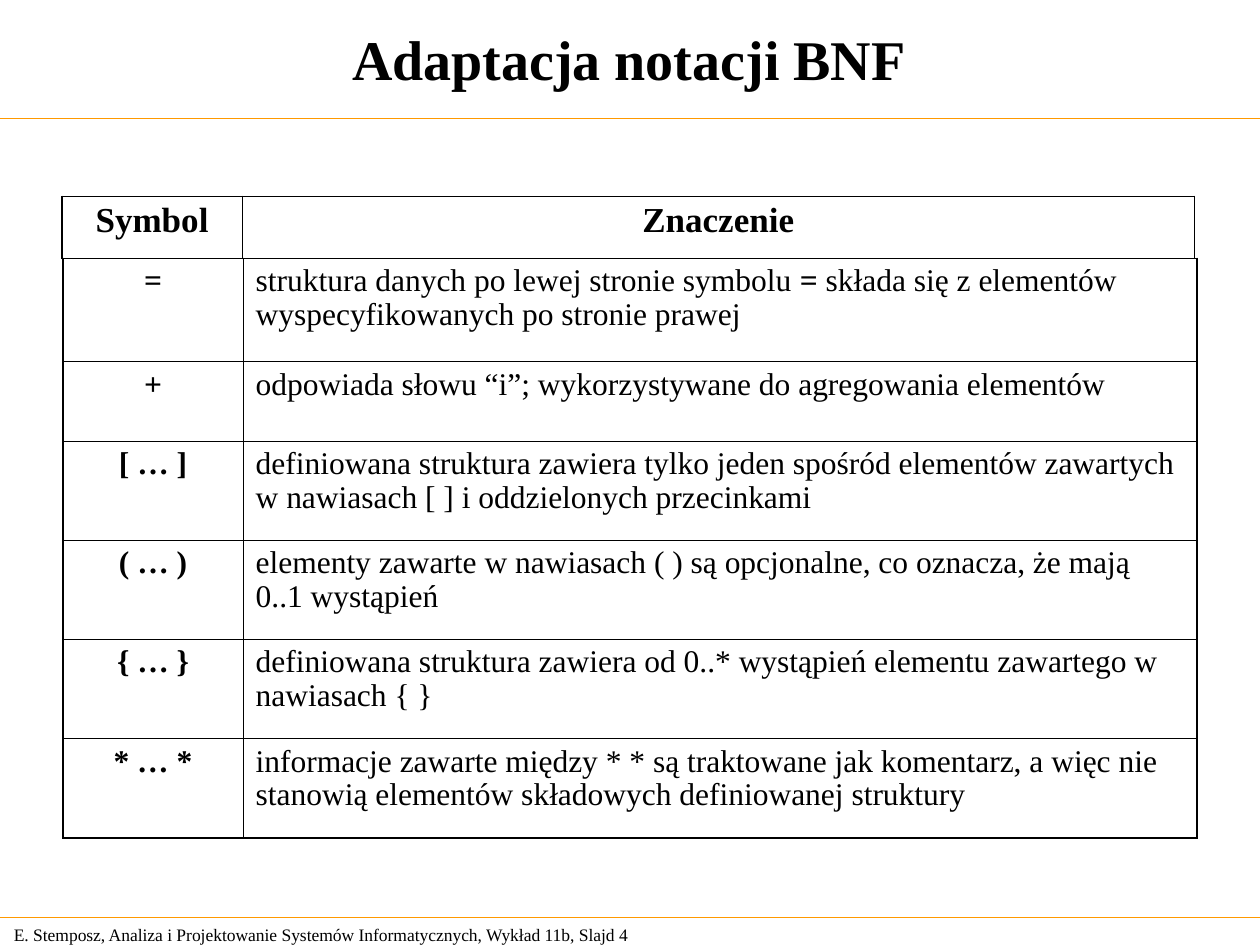
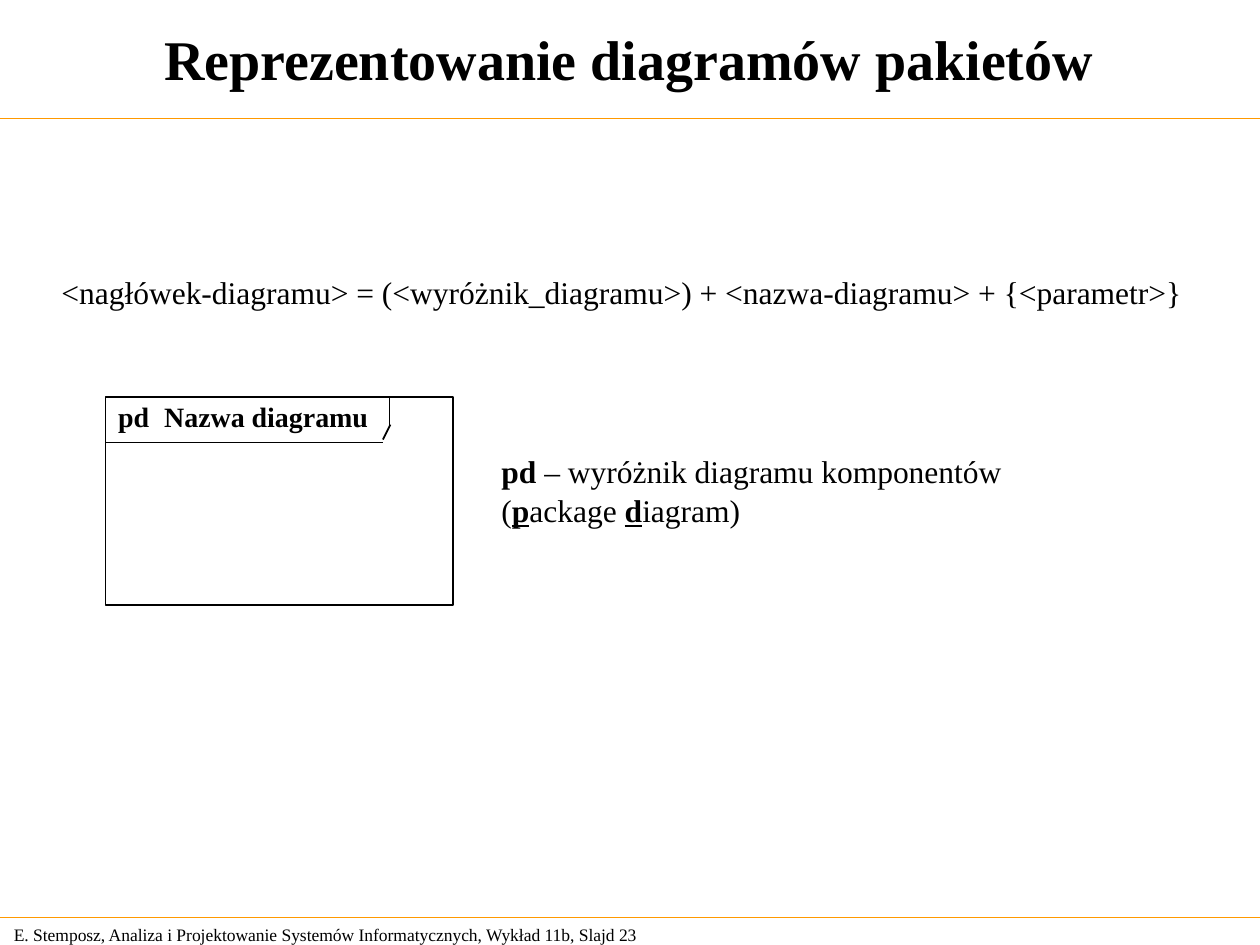
import lxml.etree
import pptx
import pptx.dml.color
import pptx.enum.shapes
import pptx.enum.text
import pptx.oxml.ns
import pptx.util

Cm, Pt = pptx.util.Cm, pptx.util.Pt
ALIGN, ANCHOR = pptx.enum.text.PP_ALIGN, pptx.enum.text.MSO_ANCHOR
qn = pptx.oxml.ns.qn
COLORS = {"text": "000000", "rule": "FF9900", "border": "000000"}
FONT = "Times New Roman"
WIDTH, HEIGHT = 25.4, 19.05
THICK, THIN = 1.08, 0.45
BOLD, UNDERLINED = {"bold": True}, {"bold": True, "underline": True}


def write(frame, spans, size, align=ALIGN.LEFT, spacing=None, tab=None):
    """Fill a text frame with one paragraph of (text, font format) spans."""
    frame.word_wrap = True
    para = frame.paragraphs[0]
    if tab:
        stops = lxml.etree.SubElement(para._p.get_or_add_pPr(), qn("a:tabLst"))
        lxml.etree.SubElement(stops, qn("a:tab"), pos=str(Cm(tab)), algn="l")
    para.alignment = align
    para.line_spacing = spacing
    for text, changes in spans:
        span = para.add_run()
        span.text = text
        for name, value in {"name": FONT, "size": Pt(size), **changes}.items():
            setattr(span.font, name, value)
        span.font.color.rgb = pptx.dml.color.RGBColor.from_string(COLORS["text"])


def draw_line(shapes, x1, y1, x2, y2, color, width):
    line = shapes.add_connector(pptx.enum.shapes.MSO_CONNECTOR.STRAIGHT,
                                Cm(x1), Cm(y1), Cm(x2), Cm(y2))
    line.line.color.rgb = pptx.dml.color.RGBColor.from_string(COLORS[color])
    line.line.width = Pt(width)
    lxml.etree.SubElement(line._element.spPr, qn("a:effectLst"))


deck = pptx.Presentation()
deck.slide_width, deck.slide_height = Cm(WIDTH), Cm(HEIGHT)

# Title, rules and footer of every page
pages = []
for title, number in (("Adaptacja notacji BNF", 4),
                      ("Reprezentowanie diagramów pakietów", 23)):
    page = deck.slides.add_slide(deck.slide_layouts[6])
    pages.append(page)
    for y in (2.39, 18.49):
        draw_line(page.shapes, 0, y, WIDTH, y, "rule", 0.75)
    box = page.shapes.add_textbox(0, 0, Cm(25.37), Cm(2.34))
    box.text_frame.vertical_anchor = ANCHOR.MIDDLE
    write(box.text_frame, [(title, BOLD)], 32, ALIGN.CENTER)
    footer = page.shapes.add_textbox(Cm(0.03), Cm(18.61), Cm(13.31), Cm(0.44))
    footer.text_frame.margin_top = footer.text_frame.margin_bottom = 0
    footer.text_frame.vertical_anchor = ANCHOR.MIDDLE
    write(footer.text_frame, [(
        "E. Stemposz, Analiza i Projektowanie Systemów Informatycznych, "
        f"Wykład 11b, Slajd {number}", {})], 10)
notation_page, package_page = pages

# Notation symbols: a header table on top of the body table
header = [([("Symbol", BOLD)], [("Znaczenie", BOLD)])]
body = [([(symbol, BOLD)], meaning) for symbol, meaning in (
    ("=", [("struktura danych po lewej stronie symbolu ", {}), ("=", BOLD),
           (" składa się z elementów wyspecyfikowanych po stronie prawej", {})]),
    ("+", [("odpowiada słowu “i”; wykorzystywane do agregowania elementów", {})]),
    ("[ … ]", [("definiowana struktura zawiera tylko jeden spośród elementów zawartych "
                "w nawiasach [ ] i oddzielonych przecinkami", {})]),
    ("( … )", [("elementy zawarte w nawiasach ( ) są opcjonalne, co oznacza, że mają "
                "0..1 wystąpień", {})]),
    ("{ … }", [("definiowana struktura zawiera od 0..* wystąpień elementu zawartego "
                "w nawiasach { }", {})]),
    ("* … *", [("informacje zawarte między * * są traktowane jak komentarz, a więc nie "
                "stanowią elementów składowych definiowanej struktury", {})]),
)]
for rows, left, top, widths, heights, size, meaning_align in (
        (body, 1.27, 5.21, (3.63, 19.23), (2.08, 1.6) + (2.0,) * 4, 18, ALIGN.LEFT),
        (header, 1.25, 3.96, (3.63, 19.2), (1.25,), 20, ALIGN.CENTER)):
    holder = notation_page.shapes.add_table(
        len(rows), 2, Cm(left), Cm(top), Cm(sum(widths)), Cm(sum(heights)))
    table = holder.table
    table.first_row = table.horz_banding = False
    for column, width in zip(table.columns, widths):
        column.width = Cm(width)
    for r, (cells, height) in enumerate(zip(rows, heights)):
        table.rows[r].height = Cm(height)
        for c, spans in enumerate(cells):
            cell = table.cell(r, c)
            cell.fill.background()
            write(cell.text_frame, spans, size,
                  meaning_align if c else ALIGN.CENTER, 0.97)
            outer_edges = {"lnL": c == 0, "lnR": c == 1,
                           "lnT": r == 0, "lnB": r == len(rows) - 1}
            for place, (edge, outer) in enumerate(outer_edges.items()):
                border = lxml.etree.Element(
                    qn("a:" + edge), w=str(Pt(THICK if outer else THIN)))
                fill = lxml.etree.SubElement(border, qn("a:solidFill"))
                lxml.etree.SubElement(fill, qn("a:srgbClr"), val=COLORS["border"])
                cell._tc.get_or_add_tcPr().insert(place, border)

# Package diagram: header grammar, explanation and frame
for left, top, width, height, spans, spacing in (
        (9.86, 8.94, 12.7, 1.78, [
            ("pd", BOLD), (" – wyróżnik diagramu komponentów (", {}),
            ("p", UNDERLINED), ("ackage ", {}),
            ("d", UNDERLINED), ("iagram)", {})], 1.05),
        (0.99, 5.38, 23.4, 1.02, [
            ("<nagłówek-diagramu> = (<wyróżnik_diagramu>) + "
             "<nazwa-diagramu> + {<parametr>}", {})], None)):
    box = package_page.shapes.add_textbox(Cm(left), Cm(top), Cm(width), Cm(height))
    write(box.text_frame, spans, 18, spacing=spacing)

diagram = package_page.shapes.add_group_shape().shapes
frame = diagram.add_shape(pptx.enum.shapes.MSO_SHAPE.RECTANGLE,
                          Cm(2.13), Cm(8), Cm(7.01), Cm(4.2))
frame.shadow.inherit = False
frame.fill.background()
frame.line.color.rgb = pptx.dml.color.RGBColor.from_string(COLORS["border"])
frame.line.width = Pt(1)
name_box = diagram.add_textbox(Cm(2.13), Cm(7.92), Cm(5.7), Cm(0.94))
write(name_box.text_frame, [("pd\tNazwa diagramu", BOLD)], 16, tab=0.93)
for ends in ((2.13, 8.92, 7.72, 8.92), (7.72, 8.86, 7.87, 8.56), (7.85, 8.56, 7.85, 8)):
    draw_line(diagram, *ends, "border", 1)

deck.save("out.pptx")
